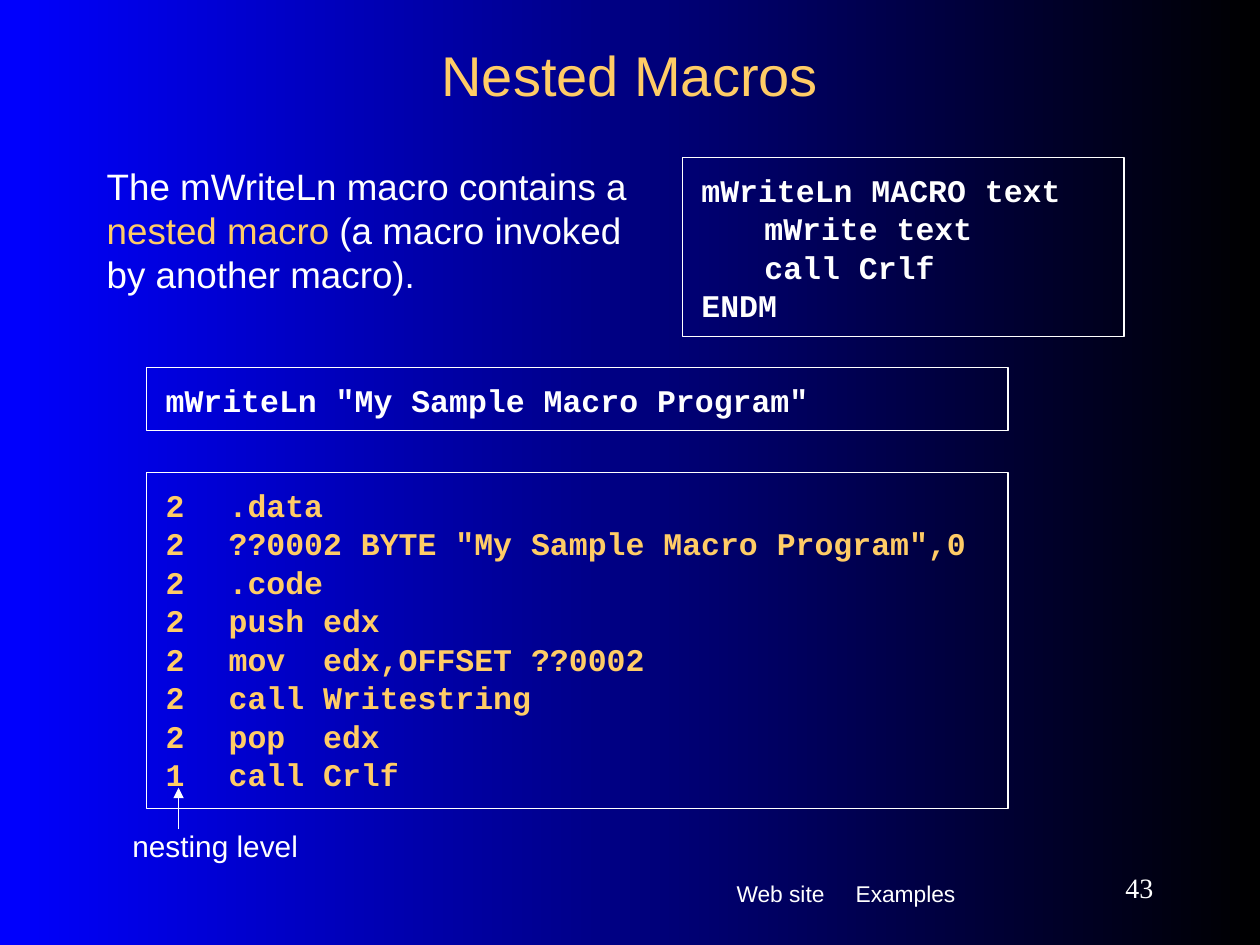
import pptx
import pptx.util
import pptx.dml.color
import pptx.enum.shapes
import pptx.enum.text
import pptx.oxml.ns
from dataclasses import dataclass
from lxml import etree

Cm, Pt = pptx.util.Cm, pptx.util.Pt
Color = pptx.dml.color.RGBColor.from_string
Align = pptx.enum.text.PP_ALIGN
Anchor = pptx.enum.text.MSO_ANCHOR
qn = pptx.oxml.ns.qn


@dataclass(frozen=True)
class Theme:
    white: str = "FFFFFF"
    gold: str = "FFCC66"
    blue: str = "0000FF"
    black: str = "000000"
    sans: str = "Arial"
    mono: str = "Courier New"
    serif: str = "Times New Roman"
    title: int = 32
    body: int = 21
    code: int = 18
    note: int = 17
    page: int = 16
    link: int = 13
    line: float = 0.75


theme = Theme()


def place(shape, box):
    shape.left, shape.top, shape.width, shape.height = map(Cm, box)


def setup(shape, side, top, anchor=Anchor.TOP):
    """Set wrapping and insets; return the first paragraph."""
    frame = shape.text_frame
    frame.word_wrap = True
    frame.auto_size = pptx.enum.text.MSO_AUTO_SIZE.NONE
    frame.margin_left = frame.margin_right = Cm(side)
    frame.margin_top = frame.margin_bottom = Cm(top)
    frame.vertical_anchor = anchor
    return frame.paragraphs[0]


def write(para, text, size, color=theme.white, font=theme.sans, bold=False):
    run = para.add_run()
    run.text = text
    run.font.name, run.font.size, run.font.bold = font, Pt(size), bold
    run.font.color.rgb = Color(color)


def tab(para, pos):
    stops = etree.SubElement(para._p.get_or_add_pPr(), qn("a:tabLst"))
    etree.SubElement(stops, qn("a:tab"), pos=str(Cm(pos)), algn="l")


def label(slide, box, side=0.25, top=0.38, anchor=Anchor.TOP):
    shape = slide.shapes.add_textbox(*map(Cm, box))
    return setup(shape, side, top, anchor)


def back(slide):
    fill = slide.background.fill
    fill.gradient()
    fill.gradient_angle = 0
    for stop, color in zip(fill.gradient_stops, (theme.blue, theme.black)):
        stop.color.rgb = Color(color)


def head(slide, box):
    shape = slide.shapes.title
    place(shape, box)
    para = setup(shape, 0.25, 0.13, Anchor.MIDDLE)
    para.alignment = Align.CENTER
    write(para, "Nested Macros", theme.title, theme.gold)


def intro(slide, box):
    shape = slide.placeholders[1]
    place(shape, box)
    para = setup(shape, 0.25, 0.13)
    props = para._p.get_or_add_pPr()
    props.set("marL", "0")
    props.set("indent", "0")
    etree.SubElement(props, qn("a:buNone"))
    para.space_before = Pt(0)
    para.line_spacing = Pt(25)
    write(para, "The mWriteLn macro contains a ", theme.body)
    write(para, "nested macro", theme.body, theme.gold)
    write(para, " (a macro invoked by another macro).", theme.body)


def code(slide, box, lines, color=theme.white):
    shape = slide.shapes.add_shape(
        pptx.enum.shapes.MSO_SHAPE.RECTANGLE, *map(Cm, box))
    shape.shadow.inherit = False
    shape.fill.background()
    shape.line.color.rgb = Color(theme.white)
    shape.line.width = Pt(theme.line)
    para = setup(shape, 0.38, 0.25)
    for row, text in enumerate(lines):
        if row:
            para = shape.text_frame.add_paragraph()
        tab(para, 1.27)
        para.alignment = Align.LEFT
        para.line_spacing = Pt(22)
        write(para, text, theme.code, color, theme.mono, True)


def note(slide, box):
    left, top, width, height = box
    para = label(slide, (left, top + 0.42, width, height - 0.42))
    para.alignment = Align.CENTER
    write(para, "nesting level", theme.note)

    # Arrow up to the level column
    mid = left + 2.96
    arrow = slide.shapes.add_connector(
        pptx.enum.shapes.MSO_CONNECTOR.STRAIGHT,
        Cm(mid), Cm(top + 0.84), Cm(mid), Cm(top))
    arrow.line.color.rgb = Color(theme.white)
    arrow.line.width = Pt(theme.line)
    line = arrow.line._get_or_add_ln()
    etree.SubElement(line, qn("a:tailEnd"), type="triangle")
    etree.SubElement(arrow._element.spPr, qn("a:effectLst"))


def foot(slide, box):
    left, top, width, height = box
    links = label(slide, (left, top, 5.72, height))
    tab(links, 2.4)
    write(links, "Web site", theme.link)
    write(links, "\tExamples", theme.link)

    # Page number at the right end
    wide = 2.74
    page = label(slide, (left + width - wide, top, wide, 1.07),
                 top=0.13, anchor=Anchor.MIDDLE)
    page.alignment = Align.RIGHT
    write(page, "43", theme.page, font=theme.serif)


def main():
    deck = pptx.Presentation()
    deck.slide_width, deck.slide_height = Cm(25.4), Cm(19.05)
    slide = deck.slides.add_slide(deck.slide_layouts[1])
    back(slide)
    head(slide, (1.9, 0.64, 21.6, 1.7))
    intro(slide, (1.9, 3.18, 11.64, 3.6))

    # Macro, its call and the code it expands to
    code(slide, (13.76, 3.18, 8.9, 3.6),
         ["mWriteLn MACRO text", "\tmWrite text", "\tcall Crlf", "ENDM"])
    code(slide, (2.96, 7.41, 17.36, 1.27),
         ['mWriteLn "My Sample Macro Program"'])
    code(slide, (2.96, 9.53, 17.36, 6.77),
         ["2\t.data",
          '2\t??0002 BYTE "My Sample Macro Program",0',
          "2\t.code",
          "2\tpush edx",
          "2\tmov  edx,OFFSET ??0002",
          "2\tcall Writestring",
          "2\tpop  edx",
          "1\tcall Crlf"], theme.gold)

    note(slide, (0.64, 15.88, 7.4, 1.9))
    foot(slide, (14.6, 17.35, 8.9, 1.32))
    deck.save("out.pptx")


if __name__ == "__main__":
    main()
